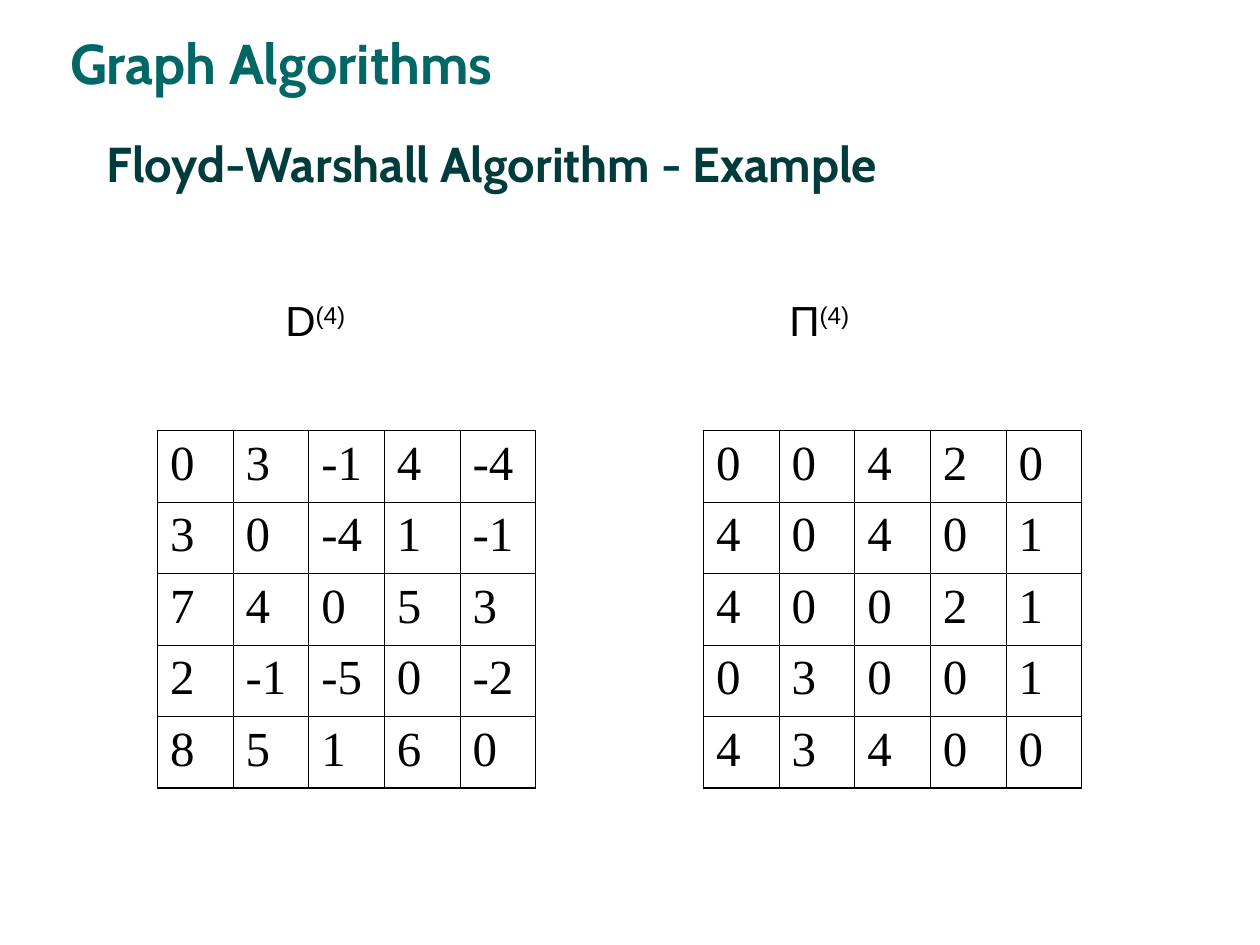
from lxml import etree
from pptx import Presentation
from pptx.dml.color import RGBColor
from pptx.enum.text import MSO_ANCHOR
from pptx.oxml.ns import qn
from pptx.util import Pt

MIDDLE, TOP = MSO_ANCHOR.MIDDLE, MSO_ANCHOR.TOP
COLORS = {"heading": "006666", "title": "003C3B", "text": "000000"}
OUTER, INNER = Pt(1.08), Pt(0.45)
SIZE = 5
COL_W, ROW_H = 43.2, 40.8
TABLE_TOP = 246


def add_run(p, text, font, size, color, bold=False, baseline=None):
    r = p.add_run()
    r.text = text
    r.font.name = font
    r.font.size = Pt(size)
    r.font.bold = bold
    r.font.color.rgb = RGBColor.from_string(COLORS[color])
    if baseline:
        r.font._element.set("baseline", str(baseline))


def add_border(cell, side, width):
    ln = etree.SubElement(cell._tc.get_or_add_tcPr(), qn(f"a:ln{side}"), w=str(width))
    fill = etree.SubElement(ln, qn("a:solidFill"))
    etree.SubElement(fill, qn("a:srgbClr"), val=COLORS["text"])


prs = Presentation()
prs.slide_width, prs.slide_height = Pt(720), Pt(540)
s = prs.slides.add_slide(prs.slide_layouts[6])

# Heading, title and the line of matrix names: box, wrap, anchor, runs
superscript = 30000
boxes = [
    ((33, 12.5, 299.5, 46), False, TOP,
     [("Graph Algorithms", "Cabin", 32, "heading", True)]),
    ((54, 48, 666, 90), True, MIDDLE,
     [("Floyd-Warshall Algorithm - Example", "Cabin", 28, "title", True)]),
    ((84, 165, 410.4, 36), False, TOP,
     [("\tD", "Arial", 24, "text"),
      ("(4)\t\t\t\t", "Arial", 24, "text", False, superscript),
      ("Π", "Arial", 24, "text"),
      ("(4)", "Arial", 24, "text", False, superscript)]),
]
for box, wrap, anchor, runs in boxes:
    tf = s.shapes.add_textbox(*map(Pt, box)).text_frame
    tf.word_wrap = wrap
    tf.vertical_anchor = anchor
    p = tf.paragraphs[0]
    tabs = etree.SubElement(p._p.get_or_add_pPr(), qn("a:tabLst"))
    for inch in range(8):
        etree.SubElement(tabs, qn("a:tab"), pos=str(Pt(72 * inch)), algn="l")
    for run in runs:
        add_run(p, *run)

# Distance and predecessor matrices, by left edge
matrices = {
    90: [
        [0, 3, -1, 4, -4],
        [3, 0, -4, 1, -1],
        [7, 4, 0, 5, 3],
        [2, -1, -5, 0, -2],
        [8, 5, 1, 6, 0],
    ],
    402: [
        [0, 0, 4, 2, 0],
        [4, 0, 4, 0, 1],
        [4, 0, 0, 2, 1],
        [0, 3, 0, 0, 1],
        [4, 3, 4, 0, 0],
    ],
}
last = SIZE - 1
for left, matrix in matrices.items():
    table = s.shapes.add_table(SIZE, SIZE, Pt(left), Pt(TABLE_TOP),
                               Pt(SIZE * COL_W), Pt(SIZE * ROW_H)).table
    table.first_row = table.horz_banding = False
    for column in table.columns:
        column.width = Pt(COL_W)
    for i, values in enumerate(matrix):
        table.rows[i].height = Pt(ROW_H)
        for j, value in enumerate(values):
            cell = table.cell(i, j)
            add_run(cell.text_frame.paragraphs[0], str(value), "Times New Roman", 28, "text")
            edges = {"L": j == 0, "R": j == last, "T": i == 0, "B": i == last}
            for side, outer in edges.items():
                add_border(cell, side, OUTER if outer else INNER)
            cell.fill.background()

prs.save("out.pptx")
